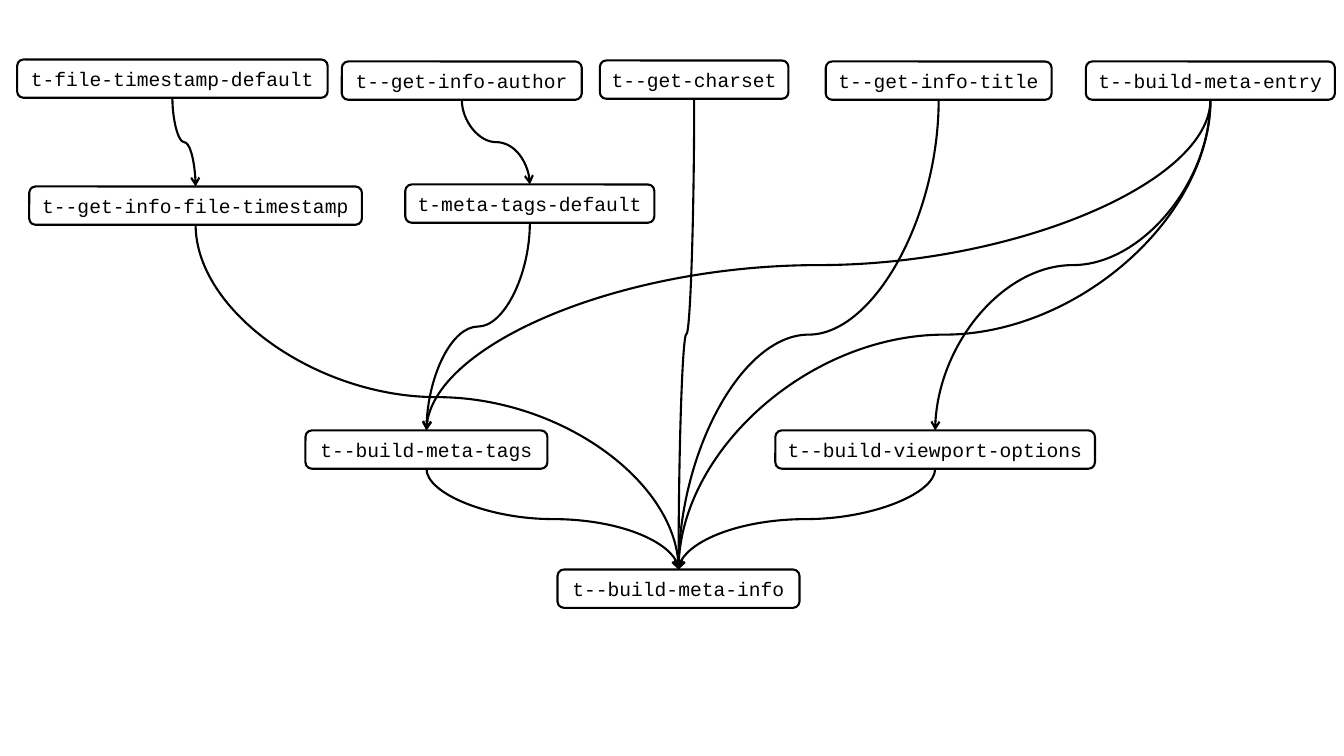
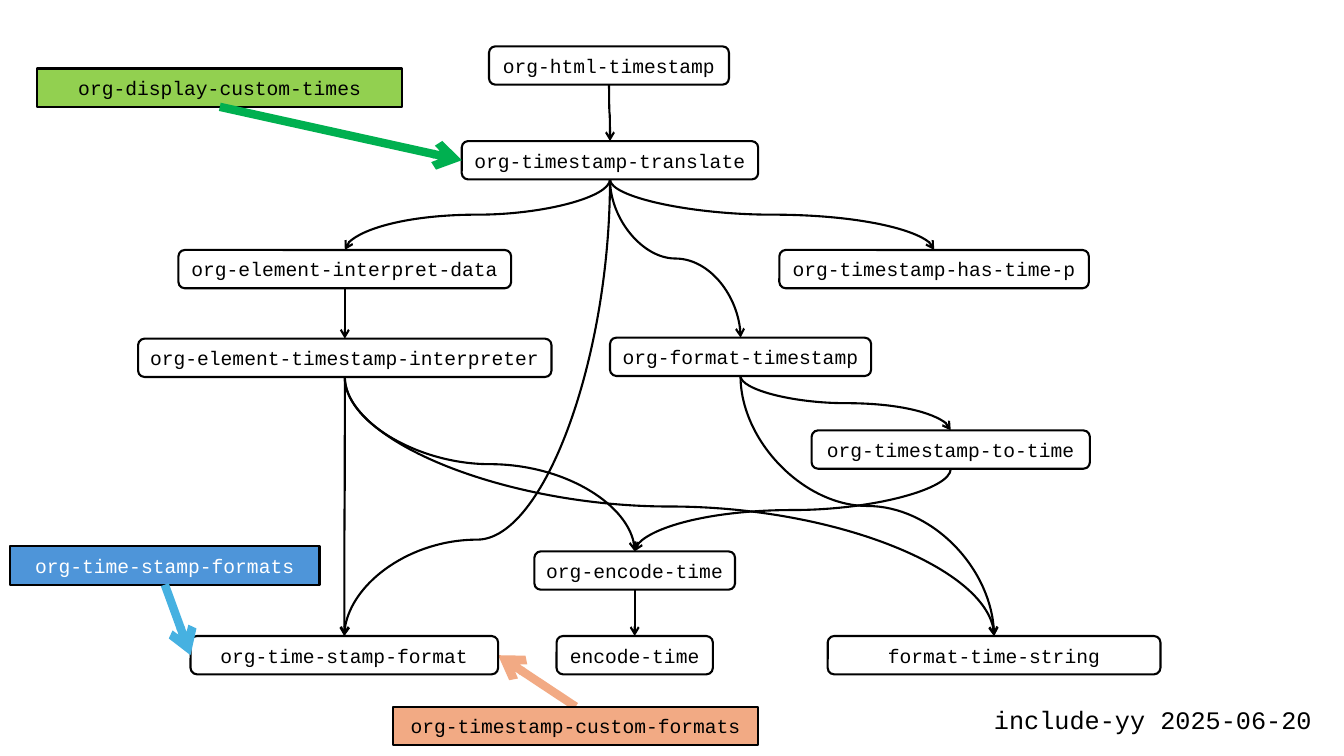
from lxml import etree
from pptx import Presentation
from pptx.dml.color import RGBColor
from pptx.enum.shapes import MSO_CONNECTOR, MSO_SHAPE
from pptx.enum.text import MSO_ANCHOR, MSO_AUTO_SIZE, PP_ALIGN
from pptx.oxml.ns import qn
from pptx.util import Emu, Pt

ROUNDED, RECTANGLE = MSO_SHAPE.ROUNDED_RECTANGLE, MSO_SHAPE.RECTANGLE
CURVE, STRAIGHT = MSO_CONNECTOR.CURVE, MSO_CONNECTOR.STRAIGHT
LEFT, CENTER = PP_ALIGN.LEFT, PP_ALIGN.CENTER
MIDDLE = MSO_ANCHOR.MIDDLE
GROW = MSO_AUTO_SIZE.SHAPE_TO_FIT_TEXT

EMU_PER_PX = 9144  # 100 px to the inch
SLIDE_BOX = (0, 0, 1333, 750)
BOX_HEIGHT = 38
BLANK_LAYOUT = 6
FONT = "Courier New"
COLORS = {
    "ink": "000000", "paper": "FFFFFF",
    "green": "92D050", "green_arrow": "00B050",
    "blue": "4E95D9", "blue_arrow": "46B1E1",
    "orange": "F2AA84",
}
# Connection sites of a rectangle
TOP_SITE, LEFT_SITE, BOTTOM_SITE, RIGHT_SITE = range(4)

# Function boxes: name -> left, top, width
META_BOXES = {
    "t-file-timestamp-default": (17, 59, 308),
    "t--get-info-author": (339, 61, 238),
    "t--get-charset": (595, 60, 187),
    "t--get-info-title": (819, 61, 224),
    "t--build-meta-entry": (1077, 61, 247),
    "t--get-info-file-timestamp": (29, 185, 330),
    "t-meta-tags-default": (402, 183, 247),
    "t--build-meta-tags": (303, 427, 240),
    "t--build-viewport-options": (769, 427, 317),
    "t--build-meta-info": (553, 565, 240),
}
META_CALLS = {
    "t-file-timestamp-default": ["t--get-info-file-timestamp"],
    "t--get-info-author": ["t-meta-tags-default"],
    "t--get-charset": ["t--build-meta-info"],
    "t--get-info-title": ["t--build-meta-info"],
    "t--build-meta-entry": ["t--build-viewport-options", "t--build-meta-tags",
                            "t--build-meta-info"],
    "t--get-info-file-timestamp": ["t--build-meta-info"],
    "t-meta-tags-default": ["t--build-meta-tags"],
    "t--build-meta-tags": ["t--build-meta-info"],
    "t--build-viewport-options": ["t--build-meta-info"],
}
TIMESTAMP_BOXES = {
    "org-html-timestamp": (485, 46, 238),
    "org-timestamp-translate": (458, 140, 294),
    "org-element-interpret-data": (177, 248, 330),
    "org-timestamp-has-time-p": (773, 248, 307),
    "org-element-timestamp-interpreter": (137, 336, 410),
    "org-format-timestamp": (605, 335, 259),
    "org-timestamp-to-time": (805, 427, 276),
    "org-encode-time": (530, 547, 199),
    "org-time-stamp-format": (189, 631, 305),
    "encode-time": (552, 631, 155),
    "format-time-string": (821, 631, 330),
}
TIMESTAMP_CALLS = {
    "org-html-timestamp": ["org-timestamp-translate"],
    "org-timestamp-translate": ["org-element-interpret-data", "org-format-timestamp",
                                "org-timestamp-has-time-p", "org-time-stamp-format"],
    "org-element-interpret-data": ["org-element-timestamp-interpreter"],
    "org-element-timestamp-interpreter": ["org-time-stamp-format", "org-encode-time",
                                          "format-time-string"],
    "org-format-timestamp": ["org-timestamp-to-time", "format-time-string"],
    "org-timestamp-to-time": ["org-encode-time"],
    "org-encode-time": ["encode-time"],
}
# Curves whose bend is not halfway, in thousandths of a percent
TIMESTAMP_BENDS = {("org-timestamp-translate", "org-time-stamp-format"): 78900}
# Variables: name, box, fill, text colour, arrow colour, start site, target, end site
VARIABLES = [
    ("org-display-custom-times", (37, 68, 362), "green", "ink", "green_arrow",
     BOTTOM_SITE, "org-timestamp-translate", LEFT_SITE),
    ("org-time-stamp-formats", (10, 542, 307), "blue", "paper", "blue_arrow",
     BOTTOM_SITE, "org-time-stamp-format", LEFT_SITE),
    ("org-timestamp-custom-formats", (390, 701, 362), "orange", "ink", "orange",
     TOP_SITE, "org-time-stamp-format", RIGHT_SITE),
]


def px(length):
    return Emu(length * EMU_PER_PX)


def color(name):
    return RGBColor.from_string(COLORS[name])


def write_text(shape, text, size=14, ink="ink", align=CENTER):
    frame = shape.text_frame
    frame.word_wrap = False
    paragraph = frame.paragraphs[0]
    paragraph.alignment = align
    run = paragraph.add_run()
    run.text = text
    run.font.name, run.font.size = FONT, Pt(size)
    run.font.color.rgb = color(ink)


def add_box(slide, area, text, place, kind=ROUNDED, fill="paper", ink="ink"):
    left, top, width = place
    shape = slide.shapes.add_shape(kind, px(area[0] + left), px(area[1] + top),
                                   px(width), px(BOX_HEIGHT))
    shape.shadow.inherit = False
    shape.fill.solid()
    shape.fill.fore_color.rgb = color(fill)
    shape.line.color.rgb = color("ink")
    shape.line.width = Pt(1.5)
    shape.text_frame.vertical_anchor = MIDDLE
    write_text(shape, text, ink=ink)
    return shape


def add_arrow(slide, kind, start, start_site, end, end_site, ink="ink", width=1.5):
    arrow = slide.shapes.add_connector(kind, 0, 0, 0, 0)
    arrow.begin_connect(start, start_site)
    arrow.end_connect(end, end_site)
    arrow.line.color.rgb = color(ink)
    arrow.line.width = Pt(width)
    properties = arrow._element.spPr
    etree.SubElement(properties.find(qn("a:ln")), qn("a:tailEnd"), type="arrow")
    etree.SubElement(properties, qn("a:effectLst"))
    return arrow


def add_curve(slide, start, end, bend=None):
    """Join bottom to top with a curve that leaves and arrives vertically."""
    curve = add_arrow(slide, CURVE, start, BOTTOM_SITE, end, TOP_SITE)
    start_x, end_x = start.left + start.width // 2, end.left + end.width // 2
    start_y, end_y = start.top + start.height, end.top
    rise, run = end_y - start_y, abs(end_x - start_x)
    rightward = end_x > start_x
    # The frame is turned a quarter, so its width spans the vertical gap
    curve.left = Emu((start_x + end_x - rise) // 2)
    curve.top = Emu((start_y + end_y - run) // 2)
    curve.width, curve.height = Emu(rise), Emu(run)
    properties = curve._element.spPr
    frame = properties.find(qn("a:xfrm"))
    frame.set("rot", "16200000" if rightward else "5400000")
    frame.set("flipH", "1" if rightward else "0")
    frame.set("flipV", "0")
    if bend:
        guides = properties.find(qn("a:prstGeom")).find(qn("a:avLst"))
        etree.SubElement(guides, qn("a:gd"), name="adj1", fmla=f"val {bend}")


def add_call_graph(slide, area, places, calls, bends):
    boxes = {name: add_box(slide, area, name, place) for name, place in places.items()}
    for caller, callees in calls.items():
        for callee in callees:
            add_curve(slide, boxes[caller], boxes[callee], bends.get((caller, callee)))
    return boxes


def add_variables(slide, area, boxes):
    for name, place, fill, ink, arrow_ink, start_site, target, end_site in VARIABLES:
        variable = add_box(slide, area, name, place, RECTANGLE, fill, ink)
        arrow = add_arrow(slide, STRAIGHT, variable, start_site,
                          boxes[target], end_site, arrow_ink, 6)
        if start_site == TOP_SITE:  # this arrow runs behind the boxes
            arrow._element.getparent().insert(2, arrow._element)


def add_signature(slide, area):
    left, top, width, height = area
    box = slide.shapes.add_textbox(px(left + width - 357), px(top + height - 56),
                                   px(337), px(40))
    write_text(box, "include-yy 2025-06-20", size=18, align=LEFT)
    box.text_frame.auto_size = GROW


def main():
    presentation = Presentation()
    presentation.slide_width, presentation.slide_height = map(px, SLIDE_BOX[2:])
    layout = presentation.slide_layouts[BLANK_LAYOUT]

    # Meta information functions
    slide = presentation.slides.add_slide(layout)
    add_call_graph(slide, SLIDE_BOX, META_BOXES, META_CALLS, {})

    # Timestamp functions and the variables that steer them
    slide = presentation.slides.add_slide(layout)
    boxes = add_call_graph(slide, SLIDE_BOX, TIMESTAMP_BOXES, TIMESTAMP_CALLS,
                           TIMESTAMP_BENDS)
    add_variables(slide, SLIDE_BOX, boxes)
    add_signature(slide, SLIDE_BOX)

    presentation.save("out.pptx")


if __name__ == "__main__":
    main()
